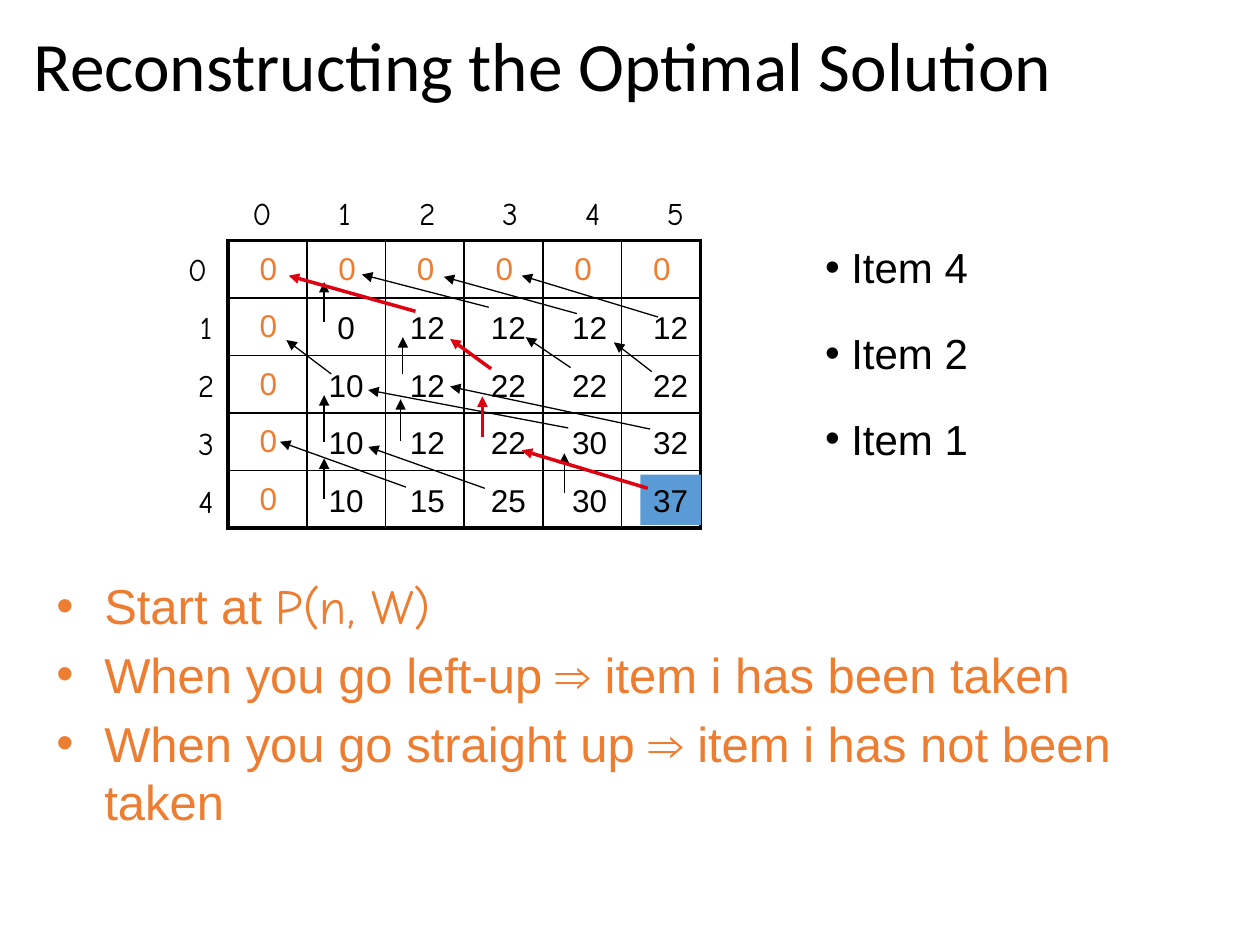
from pptx import Presentation
from pptx.dml.color import RGBColor
from pptx.enum.shapes import MSO_CONNECTOR, MSO_SHAPE
from pptx.enum.text import MSO_ANCHOR, PP_ALIGN
from pptx.oxml.ns import qn
from pptx.util import Inches, Pt
from lxml.etree import SubElement

BLACK, ORANGE, RED, BLUE = "000000", "ED7D31", "DD0111", "5B9BD5"
COLS, ROWS = 6, 5
GRID = (1.81, 1.91, 3.75, 2.28)

# Values for rows 1 to 4, columns 1 to 5
VALUES = [
    [0, 12, 12, 12, 12],
    [10, 12, 22, 22, 22],
    [10, 12, 22, 30, 32],
    [10, 15, 25, 30, 37],
]

# Arrow ends in columns and rows of the grid: from x, y to x, y
TRACED = [
    (2.38, 1.23, 0.77, 0.61), (3.34, 2.23, 2.82, 1.71),
    (3.23, 3.41, 3.23, 2.71), (5.33, 4.31, 3.73, 3.65),
]
OTHER = [
    (3.31, 1.16, 1.70, 0.59), (4.43, 1.27, 2.74, 0.63),
    (5.46, 1.33, 3.73, 0.61), (1.31, 2.32, 0.74, 1.73),
    (2.22, 2.32, 2.22, 1.68), (4.35, 2.21, 3.78, 1.68),
    (5.38, 2.28, 4.90, 1.77), (1.22, 3.50, 1.22, 2.69),
    (2.19, 3.48, 2.19, 2.76), (4.32, 3.26, 1.78, 2.60),
    (5.36, 3.28, 2.82, 2.54), (1.22, 4.49, 1.22, 3.79),
    (2.26, 4.29, 0.66, 3.50), (3.26, 4.31, 1.78, 3.59),
    (4.27, 4.40, 4.27, 3.70), (1.22, 1.42, 1.22, 0.72),
]

deck = Presentation()
deck.slide_width, deck.slide_height = Inches(10), Inches(7.5)
slide = deck.slides.add_slide(deck.slide_layouts[6])
shapes = slide.shapes


def color(code):
    return RGBColor.from_string(code)


def write(para, text, size, code=BLACK, face="Arial"):
    run = para.add_run()
    run.text = text
    for name, value in {"size": Pt(size), "name": face}.items():
        setattr(run.font, name, value)
    run.font.color.rgb = color(code)


def bullet(para, code, indent=0):
    props = para._p.get_or_add_pPr()
    props.set("marL", str(Inches(indent)))
    props.set("indent", str(-Inches(indent)))
    tint = SubElement(props, qn("a:buClr"))
    SubElement(tint, qn("a:srgbClr"), val=code)
    SubElement(props, qn("a:buFont"), typeface="Arial")
    SubElement(props, qn("a:buChar"), char="•")


def frame(box, wrap=True, anchor=MSO_ANCHOR.TOP):
    text = shapes.add_textbox(*map(Inches, box)).text_frame
    for name, value in {"word_wrap": wrap, "vertical_anchor": anchor}.items():
        setattr(text, name, value)
    return text


def spot(box, col, row):
    left, top, width, height = box
    return left + col * width / COLS, top + row * height / ROWS


def label(box, col, row, text, face="Arial", fill=None):
    x, y = spot(box, col, row)
    wide, high = 0.48, 0.4
    area = (x - wide / 2, y - high / 2, wide, high)
    if fill:
        shape = shapes.add_shape(MSO_SHAPE.RECTANGLE, *map(Inches, area))
        shape.shadow.inherit = False
        shape.fill.solid()
        shape.fill.fore_color.rgb = color(fill)
        shape.line.fill.background()
        body = shape.text_frame
        body.word_wrap = False
    else:
        body = frame(area, False)
    body.vertical_anchor = MSO_ANCHOR.TOP
    para = body.paragraphs[0]
    para.alignment = PP_ALIGN.CENTER
    write(para, str(text), 18, BLACK, face)


def arrow(box, ends, code, width):
    start, end = spot(box, *ends[:2]), spot(box, *ends[2:])
    line = shapes.add_connector(MSO_CONNECTOR.STRAIGHT, *map(Inches, start + end))
    line.line.color.rgb = color(code)
    line.line.width = Pt(width)
    props = line._element.spPr
    SubElement(props.find(qn("a:ln")), qn("a:tailEnd"), type="triangle")
    SubElement(props, qn("a:effectLst"))


def border(cell, row, col):
    props = cell._tc.get_or_add_tcPr()
    outer = {"L": col == 0, "R": col == COLS - 1, "T": row == 0, "B": row == ROWS - 1}
    for place, (side, edge) in enumerate(outer.items()):
        line = props.makeelement(qn(f"a:ln{side}"), {"w": str(Pt(2.25 if edge else 1))})
        fill = SubElement(line, qn("a:solidFill"))
        SubElement(fill, qn("a:srgbClr"), val=BLACK)
        props.insert(place, line)


def table(box):
    grid = shapes.add_table(ROWS, COLS, *map(Inches, box)).table
    for name in ("first_row", "horz_banding"):
        setattr(grid, name, False)
    for row in range(ROWS):
        for col in range(COLS):
            cell = grid.cell(row, col)
            cell.fill.background()
            border(cell, row, col)
            if row == 0 or col == 0:
                cell.vertical_anchor = MSO_ANCHOR.MIDDLE
                cell.margin_left = cell.margin_right = Inches(0.25)
                write(cell.text_frame.paragraphs[0], "0", 18, ORANGE)


def matrix(box):
    table(box)
    # Column and row numbers
    for col in range(COLS):
        label(box, 0.43 + 1.05 * col, -0.48, col, "Comic Neue")
    for row in range(ROWS):
        label(box, -0.28 if row else -0.39, 0.5 + 1.01 * row, row, "Comic Neue")
    # Values, with the last one marked
    for row, line in enumerate(VALUES):
        for col, value in enumerate(line):
            label(box, 1.5 + 1.03 * col, 1.51 + row, value,
                  fill=BLUE if value == 37 else None)
    # Arrows, with the traced way on top
    for ends in OTHER:
        arrow(box, ends, BLACK, 0.75)
    for ends in TRACED:
        arrow(box, ends, RED, 2)


def title(box):
    para = frame(box, anchor=MSO_ANCHOR.MIDDLE).paragraphs[0]
    para.line_spacing = 0.9
    write(para, "Reconstructing the Optimal Solution", 39.6, face="Calibri")


def items(box, step):
    left, top, width, height = box
    for place, item in enumerate((4, 2, 1)):
        para = frame((left, top + place * step, width, height), False).paragraphs[0]
        bullet(para, BLACK)
        write(para, f" Item {item}", 24)


def rules(box):
    body = frame(box)
    lines = [
        [("Start at ", "Arial"), ("P(n, W)", "Comic Neue")],
        [("When you go left-up ⇒ item i has been taken", "Arial")],
        [("When you go straight up ⇒ item i has not been taken", "Arial")],
    ]
    for place, runs in enumerate(lines):
        para = body.add_paragraph() if place else body.paragraphs[0]
        para.space_before = Pt(5.6)
        bullet(para, ORANGE, 0.38)
        for text, face in runs:
            write(para, text, 28, ORANGE, face)


title((0.17, 0.18, 9.62, 0.74))
matrix(GRID)
items((6.45, 1.87, 1.34, 0.5), 0.68)
rules((0.35, 4.52, 9, 2.5))
deck.save("out.pptx")
